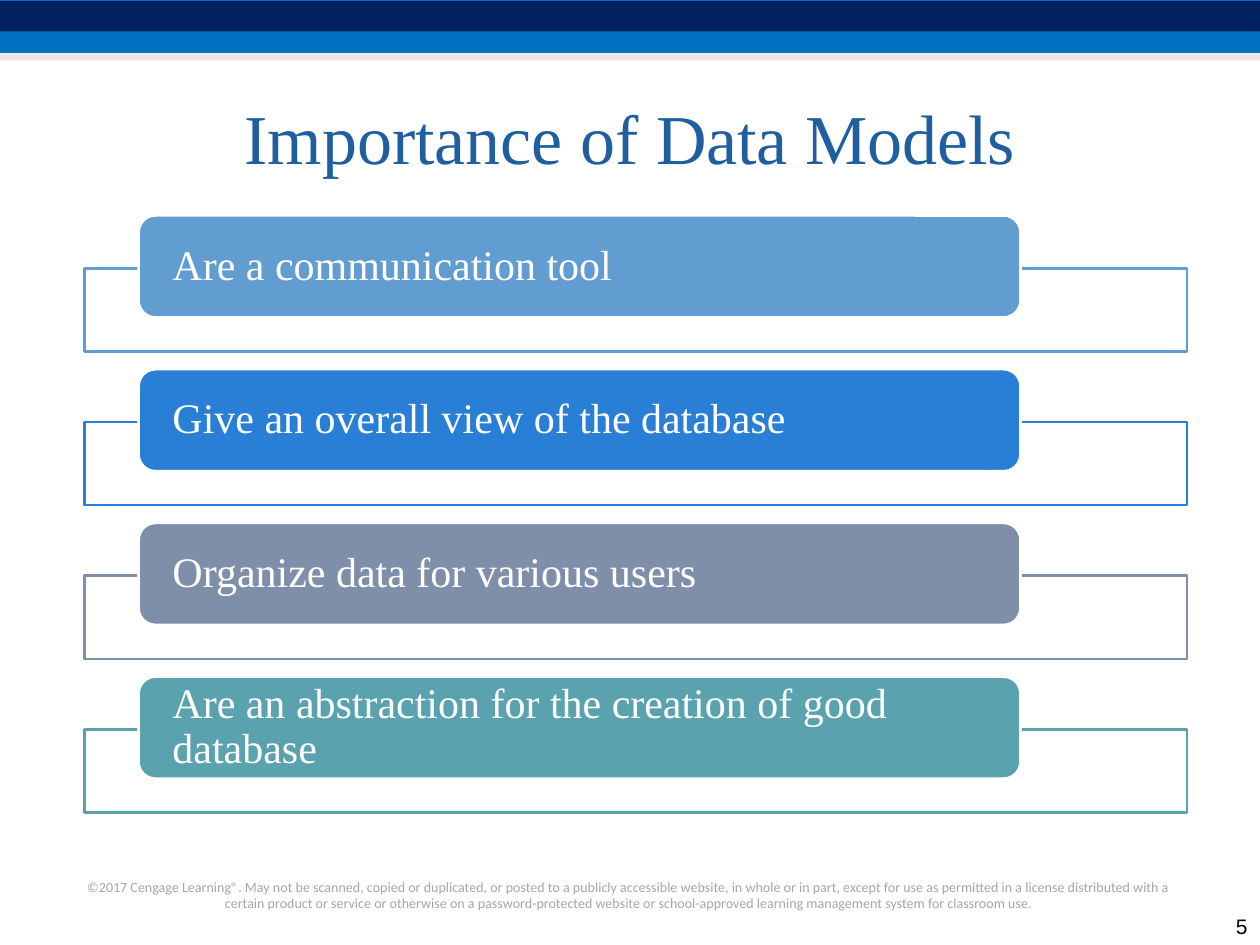
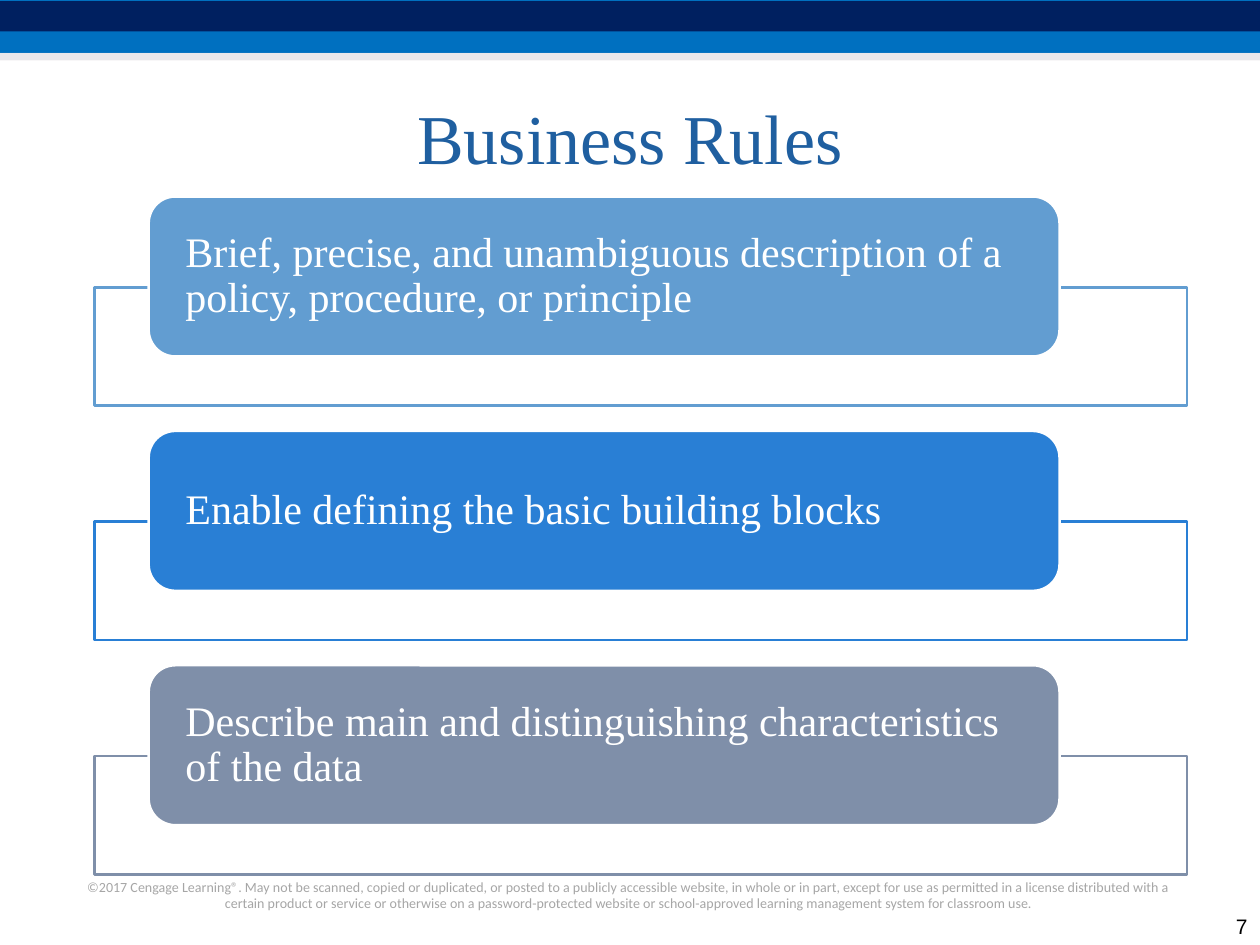
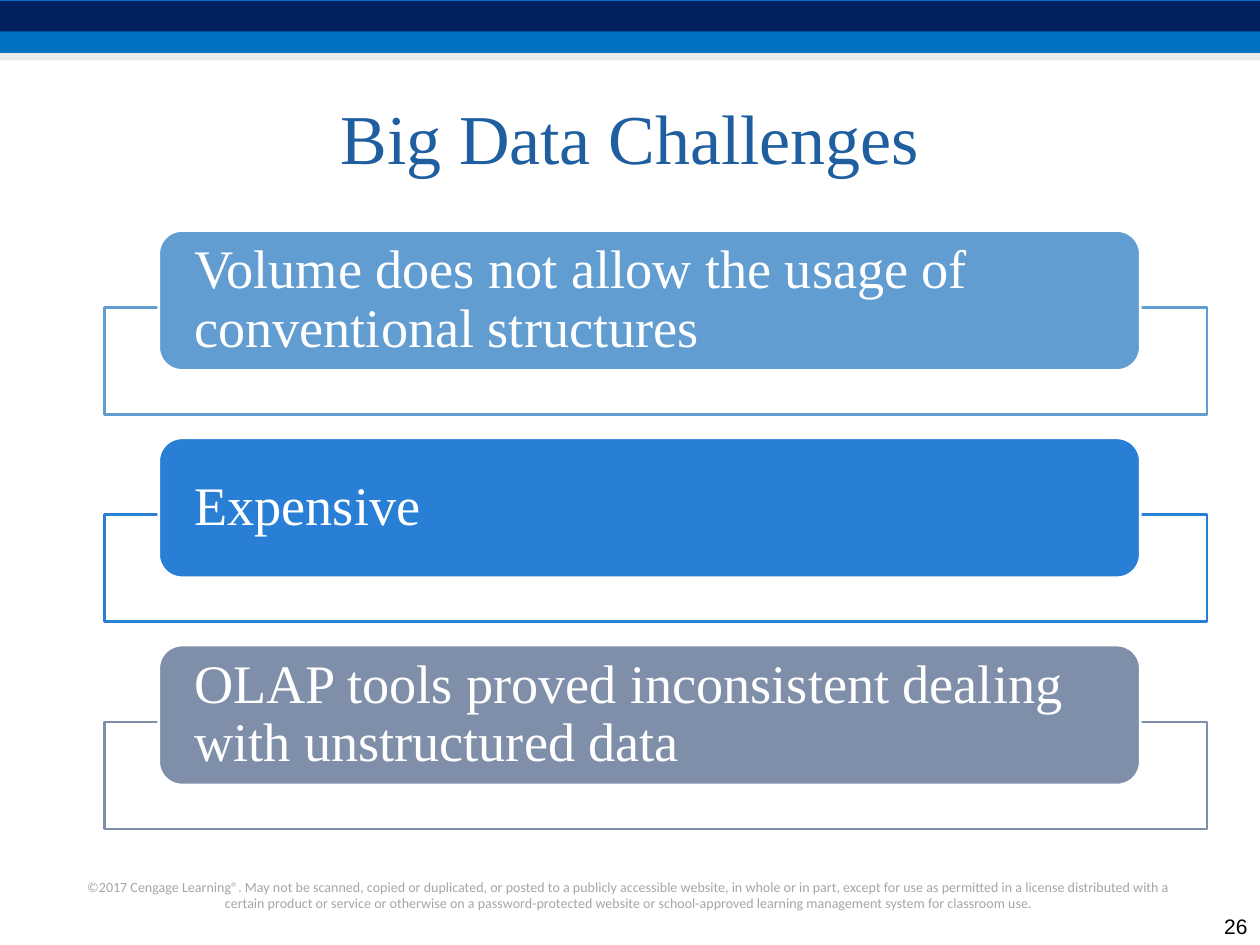
import pptx
import pptx.util
import pptx.dml.color
import pptx.enum.shapes
import pptx.enum.text
import pptx.oxml.ns
import lxml.etree

Inches = pptx.util.Inches
Shapes = pptx.enum.shapes.MSO_SHAPE
Anchor = pptx.enum.text.MSO_ANCHOR
Align = pptx.enum.text.PP_ALIGN

SERIF = "Times New Roman"
WHITE = "FFFFFF"
TITLE_BLUE = "1F5FA0"
ROW_COLORS = ["629DD1", "297FD5", "7F8FA9", "5AA2AE"]
BANDS = [
    (0, 0.42, "0070C0", 100),
    (0.01, 0.24, "002060", 100),
    (0.42, 0.06, "D8D3D9", 50),
]
COPYRIGHT = (
    "©2017 Cengage Learning®. May not be scanned, copied or duplicated, or posted to a "
    "publicly accessible website, in whole or in part, except for use as permitted in a "
    "license distributed with a certain product or service or otherwise on a "
    "password-protected website or school-approved learning management system for "
    "classroom use."
)
LABEL_INDENT = 0.43

SLIDES = [
    {
        "title": "Importance of Data Models",
        "number": "5",
        "rows": [
            "Are a communication tool",
            "Give an overall view of the database",
            "Organize data for various users",
            "Are an abstraction for the creation of good database",
        ],
        "size": 24,
        "frame": {"left": 0.67, "width": 8.75, "height": 0.66, "first": 2.13, "last": 5.79},
        "label": {"width": 7, "height": 0.81, "rise": 0.42},
    },
    {
        "title": "Business Rules",
        "number": "7",
        "rows": [
            "Brief, precise, and unambiguous description of a policy, procedure, or principle",
            "Enable defining the basic building blocks",
            "Describe main and distinguishing characteristics of the data",
        ],
        "size": 24,
        "frame": {"left": 0.75, "width": 8.67, "height": 0.94, "first": 2.28, "last": 6},
        "label": {"width": 7.23, "height": 1.27, "rise": 0.72},
    },
    {
        "title": "Big Data Challenges",
        "number": "26",
        "rows": [
            "Volume does not allow the usage of conventional structures",
            "Expensive",
            "OLAP tools proved inconsistent dealing with unstructured data",
        ],
        "size": 31,
        "frame": {"left": 0.83, "width": 8.75, "height": 0.85, "first": 2.44, "last": 5.73},
        "label": {"width": 7.79, "height": 1.11, "rise": 0.61},
    },
]


def rgb(color):
    return pptx.dml.color.RGBColor.from_string(color)


def add_box(slide, kind, left, top, width, height, fill, opacity=100, line=None):
    shape = slide.shapes.add_shape(
        kind, Inches(left), Inches(top), Inches(width), Inches(height))
    shape.shadow.inherit = False
    shape.fill.solid()
    shape.fill.fore_color.rgb = rgb(fill)
    if opacity < 100:
        color = shape.fill._xPr.find(".//" + pptx.oxml.ns.qn("a:srgbClr"))
        alpha = lxml.etree.SubElement(color, pptx.oxml.ns.qn("a:alpha"))
        alpha.set("val", str(opacity * 1000))
    if line:
        shape.line.color.rgb = rgb(line)
        shape.line.width = pptx.util.Pt(1.5)
    else:
        shape.line.fill.background()
    return shape


def write(shape, text, font, size, color, align, anchor):
    frame = shape.text_frame
    frame.word_wrap = True
    frame.vertical_anchor = anchor
    paragraph = frame.paragraphs[0]
    paragraph.alignment = align
    run = paragraph.add_run()
    run.text = text
    run.font.name = font
    run.font.size = pptx.util.Pt(size)
    run.font.color.rgb = rgb(color)
    return frame


def add_text(slide, left, top, width, height, *style):
    box = slide.shapes.add_textbox(
        Inches(left), Inches(top), Inches(width), Inches(height))
    write(box, *style)


def add_base(presentation, title_text, number):
    slide = presentation.slides.add_slide(presentation.slide_layouts[5])
    for top, height, color, opacity in BANDS:
        add_box(slide, Shapes.RECTANGLE, 0, top, 10, height, color, opacity)
    add_text(slide, 0.58, 6.92, 8.83, 0.37,
             COPYRIGHT, "Calibri", 8, "A6A6A6", Align.CENTER, Anchor.TOP)
    title = slide.shapes.title
    title.left, title.top = Inches(0.5), Inches(0.5)
    title.width, title.height = Inches(9), Inches(1.17)
    write(title, title_text, SERIF, 40, TITLE_BLUE, Align.CENTER, Anchor.MIDDLE)
    add_text(slide, 9.5, 7.17, 0.5, 0.33,
             number, "Arial", 12, "000000", Align.RIGHT, Anchor.BOTTOM)
    return slide


def add_rows(slide, rows, size, frame, label):
    pitch = (frame["last"] - frame["first"]) / (len(rows) - 1)
    for index, (text, color) in enumerate(zip(rows, ROW_COLORS)):
        top = frame["first"] + index * pitch
        add_box(slide, Shapes.RECTANGLE, frame["left"], top,
                frame["width"], frame["height"], WHITE, 90, color)
        box = add_box(slide, Shapes.ROUNDED_RECTANGLE, frame["left"] + LABEL_INDENT,
                      top - label["rise"], label["width"], label["height"], color, line=WHITE)
        text_frame = write(box, text, SERIF, size, WHITE, Align.LEFT, Anchor.MIDDLE)
        text_frame.margin_left = text_frame.margin_right = Inches(0.23)
        text_frame.margin_top = text_frame.margin_bottom = 0
        text_frame.paragraphs[0].line_spacing = 0.9


def main():
    presentation = pptx.Presentation()
    presentation.slide_width, presentation.slide_height = Inches(10), Inches(7.5)
    for content in SLIDES:
        slide = add_base(presentation, content["title"], content["number"])
        add_rows(slide, content["rows"], content["size"], content["frame"], content["label"])
    presentation.save("out.pptx")


if __name__ == "__main__":
    main()
